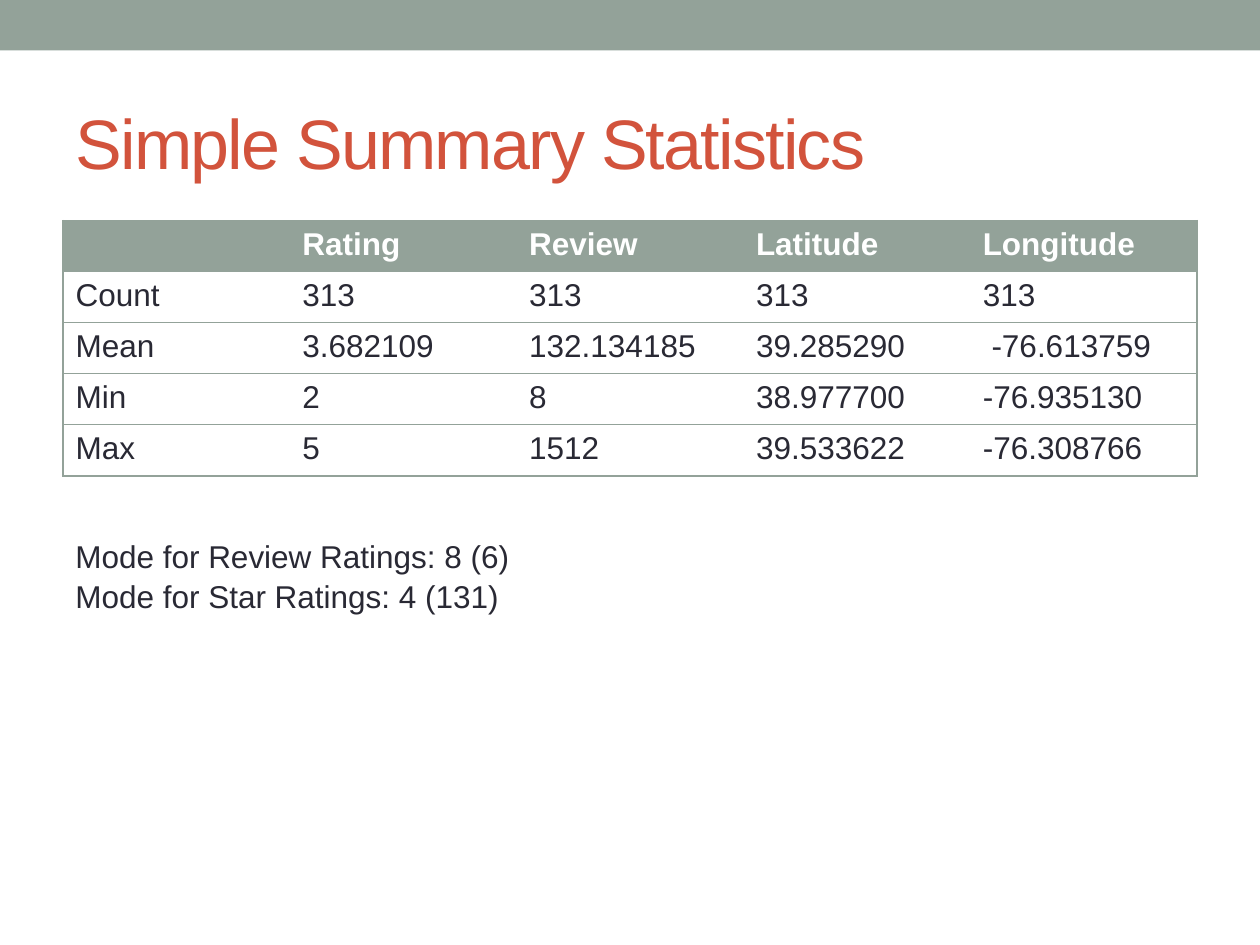
from lxml.etree import SubElement
from pptx import Presentation
from pptx.dml.color import RGBColor
from pptx.enum.shapes import MSO_SHAPE as Shape
from pptx.enum.text import MSO_ANCHOR as Anchor
from pptx.oxml.ns import qn
from pptx.util import Pt

SAGE, RUST, INK, WHITE = "93A299", "D2533C", "292934", "FFFFFF"
MARGIN, CONTENT_WIDTH = 36, 648

STATISTICS = [
    ["", "Rating", "Review", "Latitude", "Longitude"],
    ["Count", "313", "313", "313", "313"],
    ["Mean", "3.682109", "132.134185", "39.285290", " -76.613759"],
    ["Min", "2", "8", "38.977700", "-76.935130"],
    ["Max", "5", "1512", "39.533622", "-76.308766"],
]
MODES = ["Mode for Review Ratings: 8 (6)", "Mode for Star Ratings: 4 (131)"]


def rgb(hex_color):
    return RGBColor.from_string(hex_color)


class SlideBuilder:
    font_name = "Arial"
    border_width = 0.75

    def __init__(self, slide):
        self.slide = slide

    def style(self, paragraph, size, color, bold=False):
        font = paragraph.font
        font.name, font.size, font.bold = self.font_name, Pt(size), bold
        font.color.rgb = rgb(color)

    def band(self, left, top, width, height, color):
        band = self.slide.shapes.add_shape(
            Shape.RECTANGLE, Pt(left), Pt(top), Pt(width), Pt(height))
        band.shadow.inherit = False
        band.fill.solid()
        band.fill.fore_color.rgb = rgb(color)
        band.line.fill.background()

    def text(self, left, top, width, height, lines, size, color,
             anchor=Anchor.TOP, line_spacing=None, tracking=None):
        """Add a wrapped text box; tracking is letter spacing in points."""
        frame = self.slide.shapes.add_textbox(
            Pt(left), Pt(top), Pt(width), Pt(height)).text_frame
        frame.word_wrap = True
        frame.vertical_anchor = anchor
        frame.text = "\n".join(lines)
        for paragraph in frame.paragraphs:
            self.style(paragraph, size, color)
            paragraph.line_spacing = line_spacing
            if tracking is not None:
                for run in paragraph.runs:
                    run.font._element.set("spc", str(round(tracking * 100)))

    def border(self, cell, side, color):
        """Draw one cell side (L, R, T or B), or clear it if color is None."""
        line = SubElement(cell._tc.get_or_add_tcPr(), qn(f"a:ln{side}"),
                          w=str(Pt(self.border_width)))
        if color is None:
            SubElement(line, qn("a:noFill"))
        else:
            fill = SubElement(line, qn("a:solidFill"))
            SubElement(fill, qn("a:srgbClr"), val=color)

    def table(self, left, top, width, row_height, rows, size):
        column_count = len(rows[0])
        table = self.slide.shapes.add_table(
            len(rows), column_count, Pt(left), Pt(top),
            Pt(width), Pt(row_height * len(rows))).table
        table.horz_banding = False
        for r, values in enumerate(rows):
            is_header = r == 0
            for c, value in enumerate(values):
                cell = table.cell(r, c)
                cell.text = value
                self.style(cell.text_frame.paragraphs[0], size,
                           WHITE if is_header else INK, is_header)
                self.border(cell, "L", SAGE if c == 0 else None)
                self.border(cell, "R", SAGE if c == column_count - 1 else None)
                self.border(cell, "T", SAGE)
                self.border(cell, "B", SAGE)
                if is_header:
                    cell.fill.solid()
                    cell.fill.fore_color.rgb = rgb(SAGE)
                else:
                    cell.fill.background()


def main():
    deck = Presentation()
    deck.slide_width, deck.slide_height = Pt(720), Pt(540)
    builder = SlideBuilder(deck.slides.add_slide(deck.slide_layouts[6]))

    builder.band(0, 0, 720, 28.8, SAGE)
    builder.text(MARGIN, 42, CONTENT_WIDTH, 78, ["Simple Summary Statistics"],
                 40, RUST, anchor=Anchor.MIDDLE, tracking=-1)
    builder.table(MARGIN, 126, CONTENT_WIDTH, 29.2, STATISTICS, 18)
    builder.text(MARGIN, 302.4, CONTENT_WIDTH, 51, MODES, 18, INK,
                 line_spacing=1.05)

    deck.save("out.pptx")


if __name__ == "__main__":
    main()
